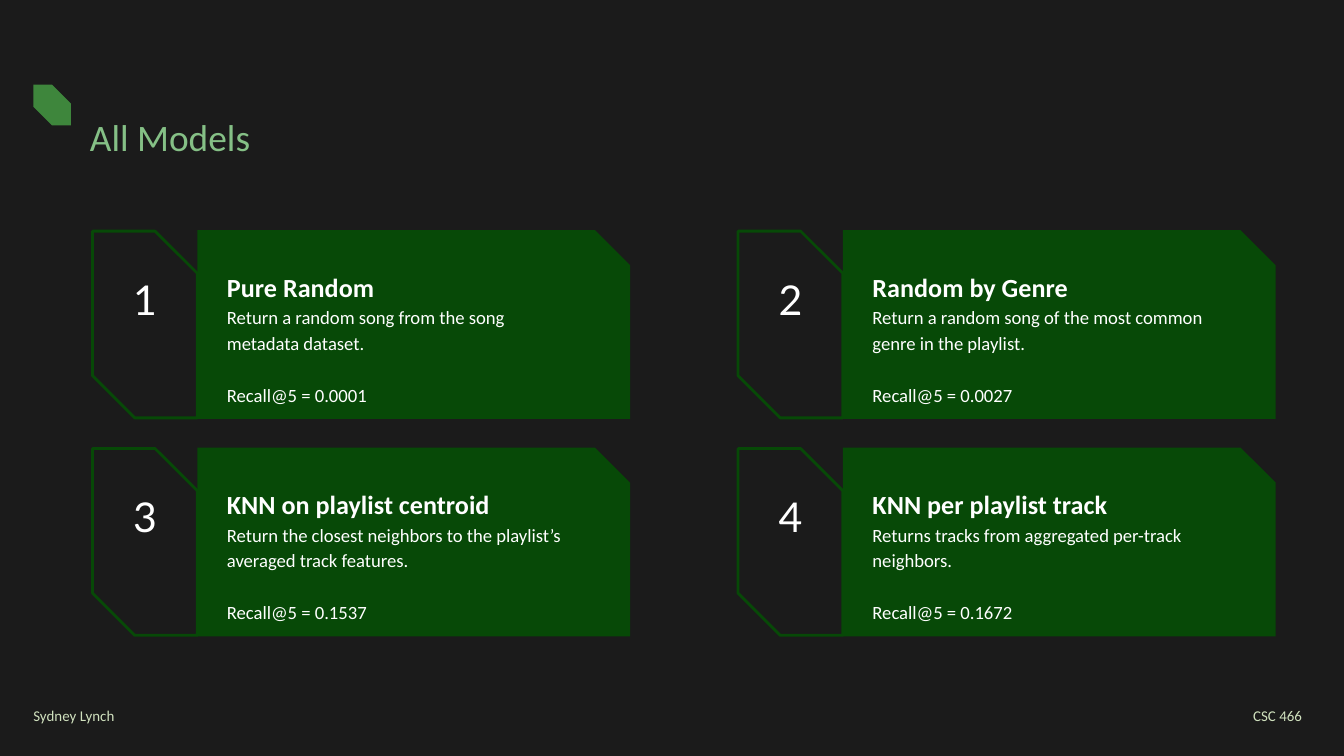
from pptx import Presentation
from pptx.dml.color import RGBColor
from pptx.enum.shapes import MSO_SHAPE as Shape
from pptx.enum.text import MSO_ANCHOR as Anchor, PP_ALIGN as Align
from pptx.util import Cm, Pt

BACKGROUND = RGBColor(0x1B, 0x1B, 0x1B)
PANEL_GREEN = RGBColor(0x07, 0x49, 0x07)
ACCENT_GREEN = RGBColor(0x3E, 0x86, 0x3C)
TITLE_GREEN = RGBColor(0x85, 0xC0, 0x86)
FOOTER_GREEN = RGBColor(0xD0, 0xE1, 0xBE)
WHITE = RGBColor(0xFF, 0xFF, 0xFF)

TITLE = "All Models"
AUTHOR, COURSE = "Sydney Lynch", "CSC 466"
MODELS = [
    ("Pure Random", "Return a random song from the song metadata dataset.", "0.0001"),
    ("Random by Genre",
     "Return a random song of the most common genre in the playlist.", "0.0027"),
    ("KNN on playlist centroid",
     "Return the closest neighbors to the playlist’s averaged track features.", "0.1537"),
    ("KNN per playlist track",
     "Returns tracks from aggregated per-track neighbors.", "0.1672"),
]

COLUMNS = 2
GRID_LEFT, GRID_TOP = 1.75, 4.35
COLUMN_STEP, ROW_STEP = 12.2, 4.11
TAB_WIDTH, TAB_HEIGHT = 1.98, 3.53
PANEL_WIDTH, PANEL_HEIGHT = 8.18, 3.57


def add_block(slide, preset, box, adjustments, fill, line=None):
    shape = slide.shapes.add_shape(preset, *map(Cm, box))
    shape.shadow.inherit = False
    for index, value in enumerate(adjustments):
        shape.adjustments[index] = value
    shape.fill.solid()
    shape.fill.fore_color.rgb = fill
    if line is None:
        shape.line.fill.background()
    else:
        shape.line.color.rgb = line
        shape.line.width = Pt(1.5)


def add_text(slide, box, lines, color, spacing, font="Calibri",
             align=Align.LEFT, anchor=Anchor.TOP, inset_top=0):
    """Add a text box; each line is (text, size, bold, points before)."""
    frame = slide.shapes.add_textbox(*map(Cm, box)).text_frame
    frame.word_wrap = True
    frame.vertical_anchor = anchor
    frame.margin_left = frame.margin_right = frame.margin_bottom = 0
    frame.margin_top = Cm(inset_top)
    for index, (text, size, bold, before) in enumerate(lines):
        paragraph = frame.add_paragraph() if index else frame.paragraphs[0]
        paragraph.text = text
        paragraph.alignment = align
        paragraph.line_spacing = spacing
        paragraph.space_before = Pt(before)
        paragraph.font.name = font
        paragraph.font.size = Pt(size)
        paragraph.font.bold = bold
        paragraph.font.color.rgb = color


def add_model(slide, index, name, description, recall):
    row, column = divmod(index, COLUMNS)
    left = GRID_LEFT + column * COLUMN_STEP
    top = GRID_TOP + row * ROW_STEP
    add_block(slide, Shape.SNIP_1_RECTANGLE,
              (left + TAB_WIDTH, top, PANEL_WIDTH, PANEL_HEIGHT), [0.186], PANEL_GREEN)
    add_block(slide, Shape.SNIP_2_DIAG_RECTANGLE,
              (left, top + 0.02, TAB_WIDTH, TAB_HEIGHT), [0, 0.403], BACKGROUND, PANEL_GREEN)
    add_text(slide, (left, top + 0.7, TAB_WIDTH, 2.16),
             [(str(index + 1), 22, False, 0)], WHITE, 1.15, "Lato", Align.CENTER)
    add_text(slide, (left + 2.54, top + 0.69, 6.63, 1.63),
             [(name, 14, True, 0), (description, 10, False, 0),
              (f"Recall@5 = {recall}", 10, False, 14)], WHITE, 1.15)


def main():
    presentation = Presentation()
    presentation.slide_width, presentation.slide_height = Cm(25.4), Cm(14.29)
    slide = presentation.slides.add_slide(presentation.slide_layouts[6])
    slide.background.fill.solid()
    slide.background.fill.fore_color.rgb = BACKGROUND

    add_block(slide, Shape.SNIP_2_DIAG_RECTANGLE, (0.63, 1.6, 0.71, 0.77),
              [0, 0.5], ACCENT_GREEN)
    add_text(slide, (1.7, 2.01, 14.22, 1.27), [(TITLE, 20, False, 0)],
             TITLE_GREEN, 0.9, inset_top=0.25)
    for index, model in enumerate(MODELS):
        add_model(slide, index, *model)
    for text, left, width, align in [(AUTHOR, 0.63, 8.33, Align.LEFT),
                                     (COURSE, 19.81, 4.8, Align.RIGHT)]:
        add_text(slide, (left, 13.31, width, 0.48), [(text, 8, False, 0)],
                 FOOTER_GREEN, 0.9, align=align, anchor=Anchor.MIDDLE)

    presentation.save("out.pptx")


if __name__ == "__main__":
    main()
